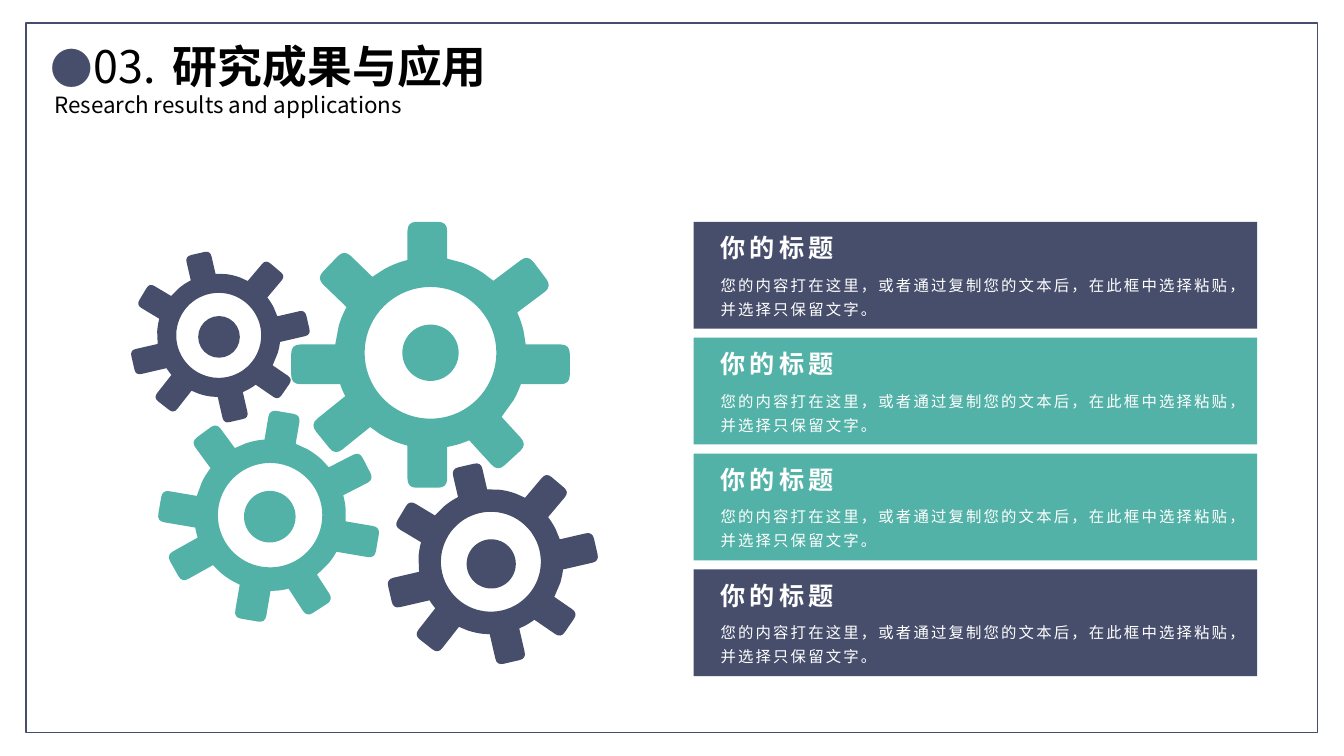
from math import cos, radians, sin, sqrt

from lxml import etree
from pptx import Presentation
from pptx.dml.color import RGBColor
from pptx.enum.shapes import MSO_SHAPE
from pptx.enum.text import MSO_AUTO_SIZE, PP_ALIGN
from pptx.oxml.ns import qn
from pptx.util import Cm, Pt

RECTANGLE, OVAL = MSO_SHAPE.RECTANGLE, MSO_SHAPE.OVAL
LEFT, CENTER, JUSTIFY = PP_ALIGN.LEFT, PP_ALIGN.CENTER, PP_ALIGN.JUSTIFY
FIT_SHAPE = MSO_AUTO_SIZE.SHAPE_TO_FIT_TEXT

FONT = "Noto Sans CJK JP"
COLORS = {"navy": "474E6B", "teal": "52B2A7", "black": "000000", "white": "FFFFFF"}

# Gear proportions, in cm at full size
FULL_WIDTH = 6.7
BODY_RADIUS, HOLE_RADIUS = 2.41, 1.66
HALF_TOOTH, TOOTH_CORNER = 0.5, 0.23
CENTER_SHIFT = 0.05
# angle in degrees, sideways offset, distance of the tip from the centre
TEETH = [
    (0, -0.08, 3.3), (53.1, 0, 3.45), (90, 0.29, 3.51), (137.5, 0.27, 3.35),
    (180, 0.08, 3.4), (231.1, 0, 3.49), (270, -0.29, 3.51), (314, -0.14, 3.37),
]
# centre x, centre y, width, rotation, hub centre y, hub diameter, colour
GEARS = [
    (5.52, 8.48, 4.32, 257, 8.49, 1.05, "navy"),
    (10.85, 8.94, 6.7, 270, 8.89, 1.42, "teal"),
    (6.8, 13.02, 5.31, 279.7, 13.02, 1.3, "teal"),
    (12.38, 14.19, 5.08, 257, 14.21, 1.24, "navy"),
]

CARD_COLORS = ["navy", "teal", "teal", "navy"]
CARD_TOP, CARD_PITCH = 5.59, 2.92
CARD_TITLE = "你的标题"
CARD_BODY = "您的内容打在这里，或者通过复制您的文本后，在此框中选择粘贴，并选择只保留文字。"


def rgb(name):
    return RGBColor.from_string(COLORS[name])


def paint(shape, fill=None, line=None):
    shape.shadow.inherit = False
    if fill:
        shape.fill.solid()
        shape.fill.fore_color.rgb = rgb(fill)
    else:
        shape.fill.background()
    if line:
        shape.line.color.rgb = rgb(line)
        shape.line.width = Pt(1)
    else:
        shape.line.fill.background()


def add_block(shapes, kind, left, top, width, height, fill=None, line=None):
    block = shapes.add_shape(kind, Cm(left), Cm(top), Cm(width), Cm(height))
    paint(block, fill, line)


def add_text(page, left, top, width, height, text, size, color="black",
             align=LEFT, bold=False, spacing=0, inset=True):
    """Add a text box of one run and return its paragraph."""
    box = page.shapes.add_textbox(Cm(left), Cm(top), Cm(width), Cm(height))
    frame = box.text_frame
    frame.word_wrap = True
    frame.auto_size = FIT_SHAPE
    if not inset:
        frame.margin_left = frame.margin_right = 0
        frame.margin_top = frame.margin_bottom = 0
    para = frame.paragraphs[0]
    para.alignment = align
    span = para.add_run()
    span.text = text
    font = span.font
    font.name, font.size, font.bold = FONT, Pt(size), bold
    font.color.rgb = rgb(color)
    properties = span._r.get_or_add_rPr()
    etree.SubElement(properties, qn("a:ea")).set("typeface", FONT)
    if spacing:
        properties.set("spc", str(int(spacing * 100)))
    return para


def add_bullet(para, symbol, color, percent, indent):
    properties = para._p.get_or_add_pPr()
    properties.set("marL", "0")
    properties.set("indent", str(Cm(indent)))
    bullet_color = etree.SubElement(properties, qn("a:buClr"))
    etree.SubElement(bullet_color, qn("a:srgbClr")).set("val", COLORS[color])
    etree.SubElement(properties, qn("a:buSzPct")).set("val", str(percent * 1000))
    etree.SubElement(properties, qn("a:buFont")).set("typeface", FONT)
    etree.SubElement(properties, qn("a:buChar")).set("char", symbol)


def arc(radius, start, end, steps):
    angles = [start + (end - start) * i / steps for i in range(steps + 1)]
    return [(radius * cos(radians(a)), radius * sin(radians(a))) for a in angles]


def tooth_points(angle, offset, tip):
    """Outline of one tooth: root, two rounded corners, root."""
    low, high = offset - HALF_TOOTH, offset + HALF_TOOTH
    outline = [(sqrt(BODY_RADIUS ** 2 - low ** 2), low)]
    for side, turn in ((low, 1), (high, -1)):
        corner = []
        for t in (0, 0.25, 0.5, 0.75, 1):
            corner.append((tip - TOOTH_CORNER * (1 - t) ** 2,
                           side + turn * TOOTH_CORNER * t ** 2))
        outline += corner if turn == 1 else corner[::-1]
    outline.append((sqrt(BODY_RADIUS ** 2 - high ** 2), high))
    c, s = cos(radians(angle)), sin(radians(angle))
    return [(c * x - s * y, s * x + c * y) for x, y in outline]


def gear_outline():
    """Teeth joined by arcs of the gear body."""
    points = []
    for tooth, following in zip(TEETH, TEETH[1:] + TEETH[:1]):
        points += tooth_points(*tooth)
        gap = (following[0] - tooth[0]) % 360
        middle = tooth[0] + gap / 2
        points += arc(BODY_RADIUS, middle - gap / 8, middle + gap / 8, 4)
    return points


def add_gear(page, x, y, width, rotation, hub_y, hub, color):
    scale = width / FULL_WIDTH

    def place(points):
        return [(Cm(x + (CENTER_SHIFT + px) * scale), Cm(y + py * scale))
                for px, py in points]

    group = page.shapes.add_group_shape()
    outline = place(gear_outline())
    hole = place(arc(HOLE_RADIUS, 360, 0, 72))
    builder = group.shapes.build_freeform(*outline[0])
    builder.add_line_segments(outline[1:])
    builder.move_to(*hole[0])
    builder.add_line_segments(hole[1:])
    gear = builder.convert_to_shape()
    gear.rotation = rotation
    paint(gear, color)
    add_block(group.shapes, OVAL, x - hub / 2, hub_y - hub / 2, hub, hub, color)


def add_card(page, top, color):
    add_block(page.shapes, RECTANGLE, 17.48, top, 14.2, 2.69, color)
    body = add_text(page, 18.16, top + 1.22, 13.18, 1.22, CARD_BODY, 11, "white",
                    spacing=1.5, inset=False)
    body.line_spacing = 1.3
    body.space_after = Pt(7)
    add_text(page, 18.16, top + 0.27, 8.92, 0.76, CARD_TITLE, 18, "white",
             bold=True, spacing=3, inset=False)


def add_heading(page):
    add_text(page, 4.11, 0.86, 10.11, 1.63, "研究成果与应用", 32,
             align=JUSTIFY, bold=True)
    number = add_text(page, 0.84, 0.86, 3.53, 1.63, "03.", 32, align=CENTER)
    add_bullet(number, "●", "navy", 95, -1.09)
    add_text(page, 1.37, 2.29, 14.2, 0.69, "Research results and applications", 16,
             align=JUSTIFY, inset=False)


def main():
    deck = Presentation()
    deck.slide_width, deck.slide_height = Cm(33.87), Cm(19.05)
    page = deck.slides.add_slide(deck.slide_layouts[6])
    add_block(page.shapes, RECTANGLE, 0.66, 0.58, 32.54, 17.88, line="navy")
    add_heading(page)
    for gear in GEARS:
        add_gear(page, *gear)
    for row, color in enumerate(CARD_COLORS):
        add_card(page, CARD_TOP + row * CARD_PITCH, color)
    deck.save("out.pptx")


if __name__ == "__main__":
    main()
